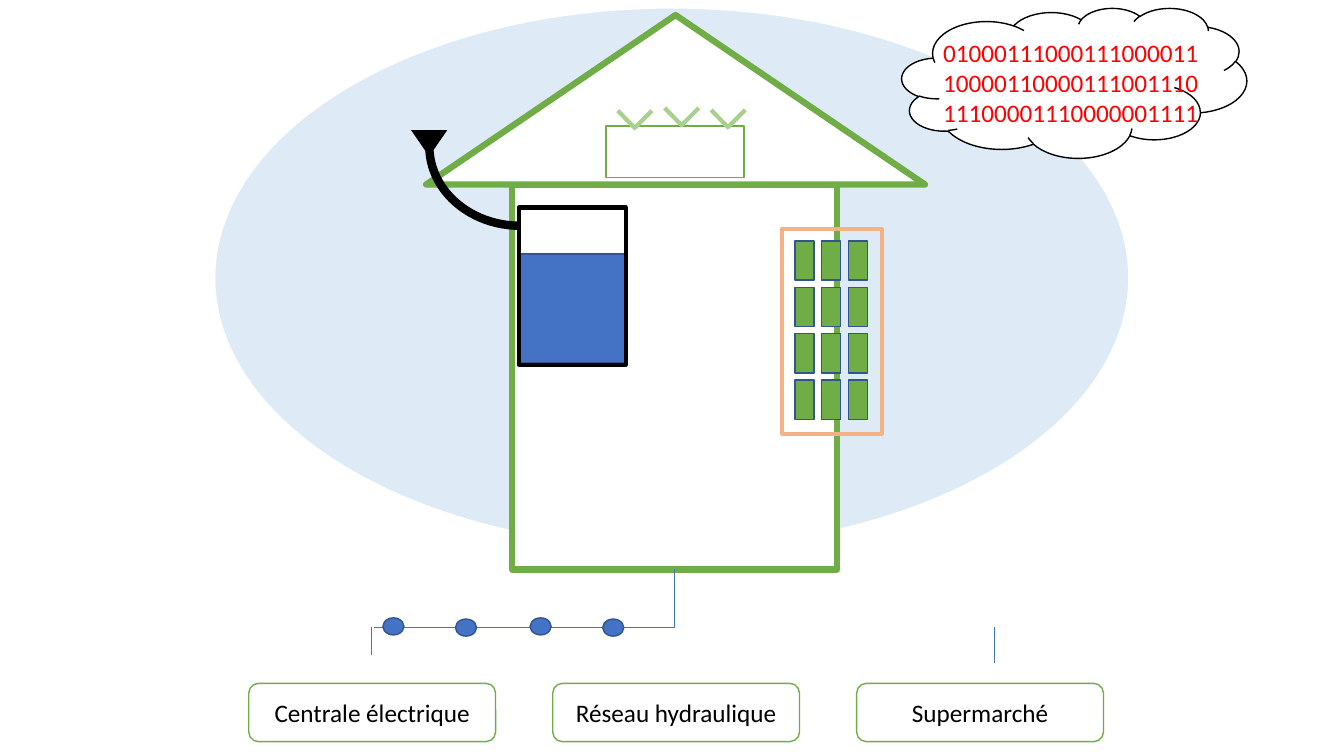
from pptx import Presentation
from pptx.dml.color import RGBColor as RGB
from pptx.enum.shapes import MSO_CONNECTOR as Link, MSO_SHAPE as Kind
from pptx.enum.text import MSO_ANCHOR as Anchor, PP_ALIGN as Align
from pptx.oxml.ns import qn
from pptx.util import Cm, Pt

WHITE, BLACK, RED = "FFFFFF", "000000", "FF0000"
GREEN, LEAF, BLUE, NAVY = "70AD47", "A9D18E", "4472C4", "325491"
SKY, PEACH = "DEEBF7", "F4B183"


def color(code):
    return RGB.from_string(code)


def shape(slide, kind, box, fill=None, line=None, width=1):
    item = slide.shapes.add_shape(kind, *map(Cm, box))
    item.shadow.inherit = False
    if fill:
        item.fill.solid()
        item.fill.fore_color.rgb = color(fill)
    else:
        item.fill.background()
    if line:
        item.line.color.rgb = color(line)
        item.line.width = Pt(width)
    else:
        item.line.fill.background()
    return item


def link(slide, ends, line, width, kind=Link.STRAIGHT):
    item = slide.shapes.add_connector(kind, *map(Cm, ends))
    item.line.color.rgb = color(line)
    item.line.width = Pt(width)
    props = item._element.spPr
    props.append(props.makeelement(qn("a:effectLst"), {}))
    return item


def write(item, text, code, align):
    frame = item.text_frame
    frame.text = text
    for para in frame.paragraphs:
        para.alignment = align
        for run in para.runs:
            run.font.name = "Calibri"
            run.font.size = Pt(18)
            run.font.color.rgb = color(code)
    return frame


def house(slide):
    shape(slide, Kind.OVAL, (5.41, 0.2, 23.04, 13.61), SKY, WHITE)
    shape(slide, Kind.RECTANGLE, (12.9, 4.65, 8.2, 9.7), WHITE, GREEN, 4.5)
    shape(slide, Kind.ISOSCELES_TRIANGLE, (10.74, 0.38, 12.57, 4.27),
          WHITE, GREEN, 4.5)


def network(slide):
    pipe = link(slide, (12.47, 11.28, 13.94, 18.85), BLUE, 0.5, Link.ELBOW)
    props = pipe._element.spPr
    props.find(qn("a:xfrm")).set("rot", "5400000")
    props.find(qn("a:prstGeom")).set("prst", "bentConnector2")
    link(slide, (9.37, 15.8, 9.37, 16.51), BLUE, 0.5)
    link(slide, (25.07, 15.8, 25.07, 16.71), BLUE, 0.5)
    names = "Centrale électrique", "Réseau hydraulique", "Supermarché"
    for i, name in enumerate(names):
        box = shape(slide, Kind.ROUNDED_RECTANGLE,
                    (6.27 + 7.66 * i, 17.22, 6.22, 1.47), WHITE, GREEN)
        frame = write(box, name, BLACK, Align.CENTER)
        frame.vertical_anchor = Anchor.MIDDLE
    for x, y in (9.65, 15.57), (11.48, 15.6), (13.36, 15.57), (15.19, 15.6):
        shape(slide, Kind.OVAL, (x, y, 0.53, 0.43), BLUE, NAVY)


def garden(slide):
    shape(slide, Kind.RECTANGLE, (15.27, 3.18, 3.48, 1.29), WHITE, GREEN)
    for x, y in (15.57, 2.79), (16.75, 2.72), (17.92, 2.77):
        link(slide, (x + 0.45, y + 0.46, x, y), LEAF, 3)
        link(slide, (x + 0.86, y, x + 0.42, y + 0.44), LEAF, 3)


def panel(slide):
    for row in range(4):
        for col in range(3):
            shape(slide, Kind.RECTANGLE,
                  (20.04 + 0.67 * col, 6.07 + 1.17 * row, 0.48, 0.99),
                  GREEN, NAVY)
    shape(slide, Kind.RECTANGLE, (19.71, 5.77, 2.51, 5.16), None, PEACH, 3)


def tank(slide):
    shape(slide, Kind.RECTANGLE, (13.08, 6.4, 2.69, 2.74), BLUE, NAVY)
    shape(slide, Kind.RECTANGLE, (13.08, 5.23, 2.69, 3.96), None, BLACK, 3)
    hose = shape(slide, Kind.ARC, (10.82, 1.68, 4.57, 4.01), None, BLACK, 6)
    hose.adjustments[0] = 54
    hose.adjustments[1] = 108
    funnel = shape(slide, Kind.ISOSCELES_TRIANGLE,
                   (10.36, 3.28, 0.91, 0.66), BLACK)
    funnel.rotation = 180


def cloud(slide):
    shape(slide, Kind.CLOUD, (22.73, 0.2, 8.69, 3.78), WHITE, BLACK)
    bits = "01000111000111000011", "10000110000111001110", "11100001110000001111"
    label = slide.shapes.add_textbox(*map(Cm, (23.52, 0.81, 8.94, 2.57)))
    write(label, "\n".join(bits), RED, Align.LEFT).word_wrap = True


def main():
    deck = Presentation()
    deck.slide_width, deck.slide_height = Cm(33.87), Cm(19.05)
    slide = deck.slides.add_slide(deck.slide_layouts[6])
    for part in house, network, garden, panel, tank, cloud:
        part(slide)
    deck.save("out.pptx")


main()
